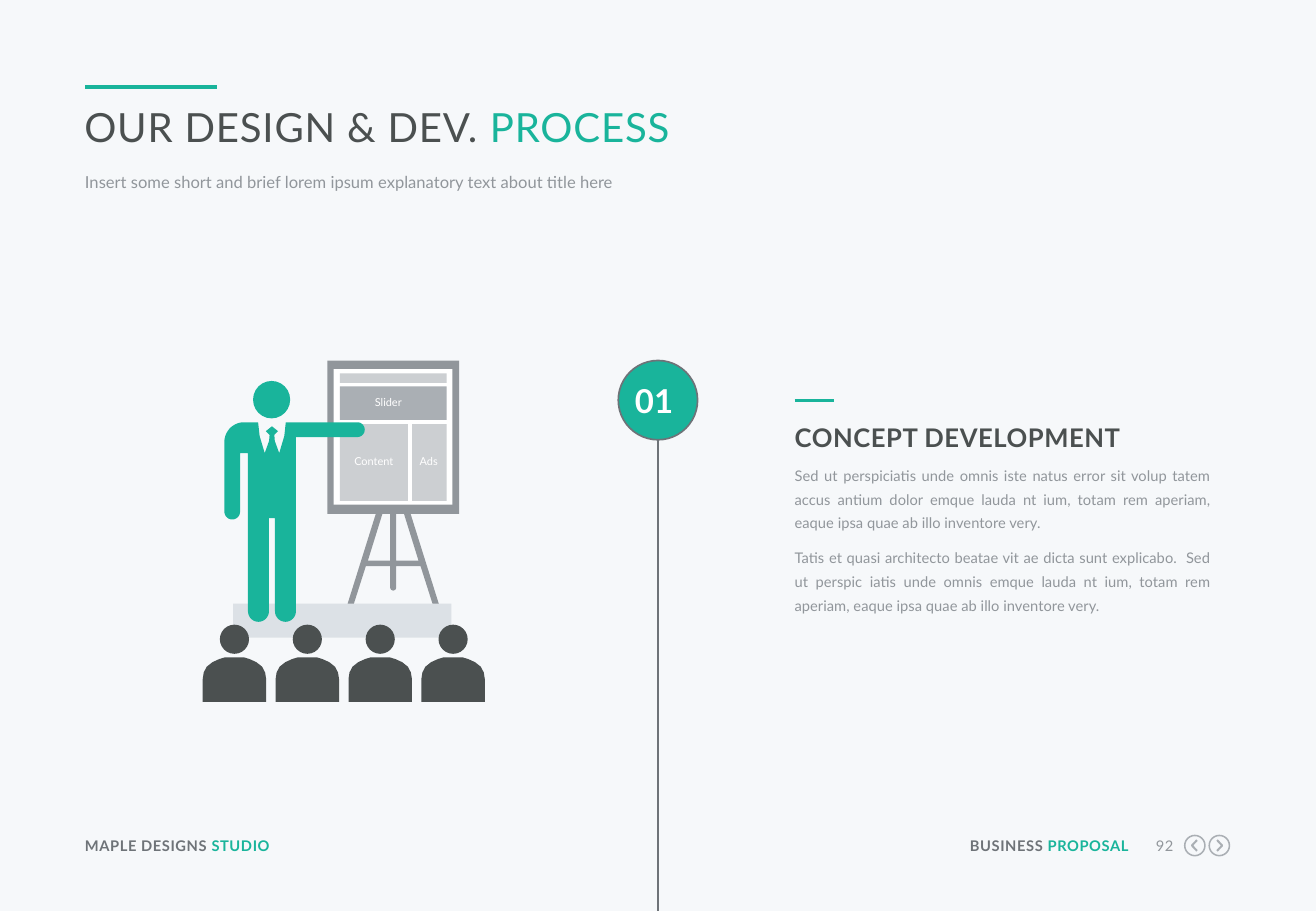
import math

import pptx
import pptx.dml.color
import pptx.enum.shapes
import pptx.enum.text
import pptx.oxml
import pptx.oxml.ns
import pptx.util

Pt = pptx.util.Pt
ALIGN = pptx.enum.text.PP_ALIGN
SHAPE = pptx.enum.shapes.MSO_SHAPE

TEAL = "19B49B"
DARK = "4B5050"
SLATE = "6E7378"
GREY = "91969B"
SILVER = "AAAFB4"
PALE = "CCCFD2"
MIST = "DCE1E6"
WHITE = "FFFFFF"
BACKGROUND = "F6F8FA"


def color(value):
    return pptx.dml.color.RGBColor.from_string(value)


def arc(center_x, center_y, radius, start, end, steps=16):
    angles = [math.radians(start + (end - start) * i / steps) for i in range(steps + 1)]
    return [(center_x + radius * math.cos(a), center_y + radius * math.sin(a)) for a in angles]


def mirrored(half, axis):
    right = [(axis + x, y) for x, y in half]
    left = [(axis - x, y) for x, y in reversed(half)]
    return right + left


def write(frame, paragraphs, size, fill=GREY, bold=False, spacing=0, align=ALIGN.LEFT,
          line_spacing=None, space_after=0):
    frame.word_wrap = True
    frame.auto_size = pptx.enum.text.MSO_AUTO_SIZE.NONE
    frame.vertical_anchor = pptx.enum.text.MSO_ANCHOR.TOP
    frame.margin_left = frame.margin_right = frame.margin_top = frame.margin_bottom = 0
    for index, runs in enumerate(paragraphs):
        paragraph = frame.paragraphs[0] if index == 0 else frame.add_paragraph()
        paragraph.alignment = align
        paragraph.space_after = Pt(space_after)
        if line_spacing:
            paragraph.line_spacing = Pt(line_spacing)
        for text, run_fill in runs:
            run = paragraph.add_run()
            run.text = text
            run.font.name = "Lato"
            run.font.size = Pt(size)
            run.font.bold = bold
            run.font.color.rgb = color(run_fill or fill)
            if spacing:
                run._r.get_or_add_rPr().set("spc", str(int(spacing * 100)))


class Painter:
    def __init__(self, slide):
        self.slide = slide
        self.shapes = slide.shapes
        slide.background.fill.solid()
        slide.background.fill.fore_color.rgb = color(BACKGROUND)

    def style(self, shape, fill, line, width):
        shape.shadow.inherit = False
        if fill:
            shape.fill.solid()
            shape.fill.fore_color.rgb = color(fill)
        else:
            shape.fill.background()
        if line:
            shape.line.color.rgb = color(line)
            shape.line.width = Pt(width)
        else:
            shape.line.fill.background()

    def title(self, box, runs, **format):
        title = self.shapes.title
        title.left, title.top, title.width, title.height = map(Pt, box)
        write(title.text_frame, [runs], **format)

    def text(self, box, *paragraphs, **format):
        textbox = self.shapes.add_textbox(*map(Pt, box))
        write(textbox.text_frame, paragraphs, **format)

    def shape(self, kind, box, fill=None, line=None, width=1):
        shape = self.shapes.add_shape(kind, *map(Pt, box))
        self.style(shape, fill, line, width)

    def line(self, start, end, fill, width):
        connector = self.shapes.add_connector(
            pptx.enum.shapes.MSO_CONNECTOR.STRAIGHT, *map(Pt, start + end))
        connector.line.color.rgb = color(fill)
        connector.line.width = Pt(width)
        properties = connector._element.spPr
        properties.append(properties.makeelement(pptx.oxml.ns.qn("a:effectLst"), {}))

    def outline(self, *contours, fill=None, line=None, width=1, close=True):
        builder = None
        for contour in contours:
            points = [(Pt(x), Pt(y)) for x, y in contour]
            if builder is None:
                builder = self.shapes.build_freeform(*points[0])
            else:
                builder.move_to(*points[0])
            builder.add_line_segments(points[1:], close=close)
        self.style(builder.convert_to_shape(), fill, line, width)


def draw_header(painter):
    painter.line((50.4, 51.8), (128.9, 51.8), TEAL, 2.25)
    painter.title((50, 60.5, 678, 29.5), [("OUR DESIGN & DEV. ", None), ("PROCESS", TEAL)],
                  size=23.8, fill=DARK, spacing=0.5)
    painter.text((50.4, 100.8, 678, 15),
                 [("Insert some short and brief lorem ipsum explanatory text about title here", None)],
                 size=9.8, line_spacing=13)


def draw_footer(painter):
    footer = dict(size=8.7, spacing=0.3)
    painter.text((50.4, 496, 152, 11), [("MAPLE DESIGNS ", SLATE), ("STUDIO", TEAL)],
                 bold=True, **footer)
    painter.text((570.2, 496, 98.8, 11), [("BUSINESS ", SLATE), ("PROPOSAL", TEAL)],
                 bold=True, align=ALIGN.RIGHT, **footer)
    painter.text((677.5, 496, 18, 11), [("92", None)], align=ALIGN.RIGHT, **footer)
    for center, direction in ((708.2, -1), (722.7, 1)):
        painter.shape(SHAPE.OVAL, (center - 6, 495.2, 12, 12), line=SILVER, width=0.9)
        back, tip = center - 1.3 * direction, center + 1.7 * direction
        painter.outline([(back, 498), (tip, 501.2), (back, 504.4)],
                        line=SILVER, width=1.2, close=False)


def draw_step(painter):
    painter.shape(SHAPE.OVAL, (366.5, 213.7, 47, 47), TEAL, SLATE)
    painter.line((390, 260.7), (390, 540), SLATE, 1)
    painter.text((373.7, 225.4, 28, 23.8), [("01", None)], size=19.5, fill=WHITE,
                 bold=True, spacing=0.2, align=ALIGN.CENTER)
    painter.line((471, 237.4), (494.4, 237.4), TEAL, 1.5)
    painter.text((471, 249.9, 247.5, 18.4), [("CONCEPT DEVELOPMENT", None)], size=15.2,
                 fill=DARK, bold=True, spacing=0.3, line_spacing=18.4)
    painter.text(
        (471, 273, 246.6, 92),
        [("Sed ut perspiciatis unde omnis iste natus error sit volup tatem accus antium dolor "
          "emque lauda nt ium, totam rem aperiam, eaque ipsa quae ab illo inventore very.", None)],
        [("Tatis et quasi architecto beatae vit ae dicta sunt explicabo.  Sed ut perspic iatis "
          "unde omnis emque lauda nt ium, totam rem aperiam, eaque ipsa quae ab illo inventore "
          "very.", None)],
        size=8.7, align=ALIGN.JUSTIFY, line_spacing=14.1, space_after=6.5)


def draw_easel(painter):
    axis = 233.1
    half = [(0, 213.8), (39, 213.8), (39, 304.6), (10.3, 304.6), (28.6, 363), (25.4, 364.5),
            (16.2, 335.6), (1.8, 335.6), (1.8, 348.5), (1.2, 349.7), (0, 350.2)]
    gap = [(1.8, 304.6), (6.4, 304.6), (15, 332.4), (1.8, 332.4)]
    painter.outline(mirrored(half, axis), [(axis + x, y) for x, y in gap],
                    [(axis - x, y) for x, y in gap], fill=GREY)
    painter.shape(SHAPE.RECTANGLE, (138.2, 357.8, 129.4, 20.3), MIST)
    for box, fill in (
            ((197.8, 218.8, 70.4, 80.4), WHITE),
            ((201.4, 221.3, 63.4, 5.7), PALE),
            ((201.4, 229.1, 63.4, 19.9), SILVER),
            ((201.4, 251.4, 40.4, 45.5), PALE),
            ((244.2, 251.4, 20.6, 45.5), PALE)):
        painter.shape(SHAPE.RECTANGLE, box, fill)
    for label, left, top, width in (
            ("Slider", 213.3, 234.4, 33.8), ("Content", 204.7, 269.3, 33.8),
            ("Ads", 243.8, 269.3, 20.6)):
        painter.text((left, top, width, 8), [(label, None)], size=6.5, fill=WHITE,
                     align=ALIGN.CENTER)


def draw_audience(painter):
    bust = [(5.5, 389.6), (9, 390.7), (13, 392.5), (16.4, 395.2), (18.2, 398.6),
            (18.8, 402.5), (18.8, 416)]
    for seat in range(4):
        axis = 139 + 43.2 * seat
        painter.shape(SHAPE.OVAL, (axis - 8.65, 370.3, 17.3, 17.3), DARK)
        painter.outline(mirrored(bust, axis), fill=DARK)


def draw_presenter(painter):
    painter.shape(SHAPE.OVAL, (150, 225.8, 22, 22.2), TEAL)
    collar = [(8.2, 250.3), (7.3, 258.5), (4.3, 268.6), (1.7, 261.4), (1.4, 257.8),
              (3.6, 255.6), (0, 252.7)]
    body = (arc(211.8, 254.7, 4.4, -90, 90)
            + [(175.4, 259.1)] + arc(169.2, 362.4, 6.2, 0, 180)
            + [(163, 307.2), (159.4, 307.2)] + arc(153.2, 362.4, 6.2, 0, 180)
            + [(147, 268.6), (142.3, 268.6)] + arc(137.65, 303.3, 4.65, 0, 180)
            + arc(144.7, 262, 11.7, 180, 270)
            + [(161.2 - x, y) for x, y in collar]
            + [(161.2 + x, y) for x, y in reversed(collar)])
    painter.outline(body, fill=TEAL)


def main():
    presentation = pptx.Presentation()
    presentation.slide_width = Pt(780)
    presentation.slide_height = Pt(540)
    painter = Painter(presentation.slides.add_slide(presentation.slide_layouts[5]))
    for draw in (draw_header, draw_footer, draw_step, draw_easel, draw_audience, draw_presenter):
        draw(painter)
    presentation.save("out.pptx")


if __name__ == "__main__":
    main()
